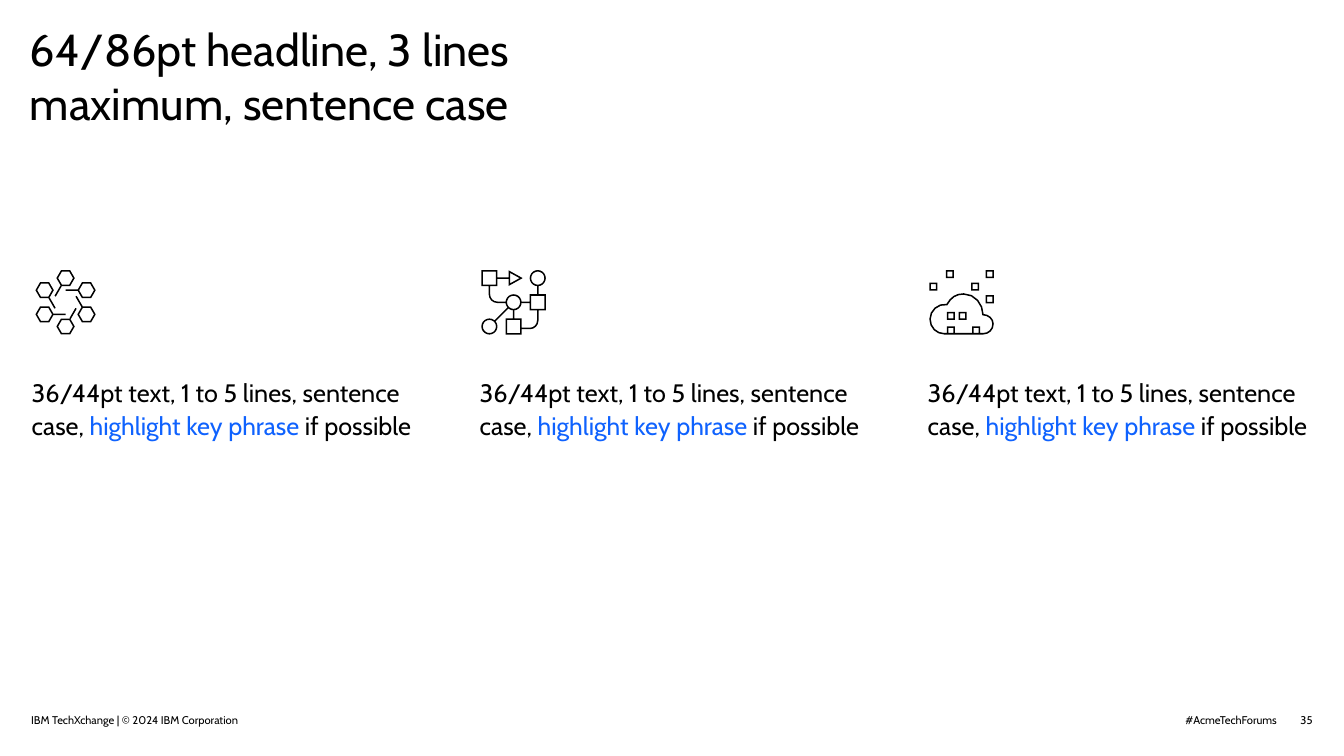
"""Build the three-column icon slide with headline, texts and footer."""
from math import cos, hypot, radians, sin

from pptx import Presentation
from pptx.dml.color import RGBColor
from pptx.enum.text import MSO_ANCHOR, MSO_AUTO_SIZE, PP_ALIGN
from pptx.util import Cm, Pt

LEFT, RIGHT = PP_ALIGN.LEFT, PP_ALIGN.RIGHT
TOP, MIDDLE, BOTTOM = MSO_ANCHOR.TOP, MSO_ANCHOR.MIDDLE, MSO_ANCHOR.BOTTOM
NO_FIT = MSO_AUTO_SIZE.NONE

COLORS = {"ink": "000000", "key": "0F62FE"}
FONT = "Cabin"

TITLE = "64/86pt headline, 3 lines maximum, sentence case"
BODY = [
    ("36/44pt text, 1 to 5 lines, sentence case, ", "ink"),
    ("highlight key phrase", "key"),
    (" if possible", "ink"),
]
FOOTERS = [
    ("IBM TechXchange | © 2024 IBM Corporation", (1.57, 35.56, 13.77, 1.07), LEFT, BOTTOM),
    ("#AcmeTechForums", (59.23, 35.94, 5.13, 0.69), RIGHT, TOP),
    ("35", (65.4, 35.94, 0.76, 0.69), RIGHT, MIDDLE),
]

COLUMN_LEFT, COLUMN_PITCH = 1.6, 22.58
ICON_TOP, ICON_INDENT, ICON_SIZE, ICON_GRID = 13.61, 0.08, 3.25, 128
HALF_STROKE = 1.5

RING_RADIUS, CELL_RADIUS, SPOKE_START, SPOKE_END = 48, 16.5, 18.3, 41.5

NODE_RADIUS = 14.5
BOXES = [(16, 16), (112, 64), (64, 112)]
CIRCLES = [(112, 16), (64, 64), (16, 112)]
ARROW = [(55.5, 3), (79, 16), (55.5, 29)]
LINKS = [
    [(32, 16), (54, 16)],
    [(112, 32), (112, 48)],
    [(80, 64), (96, 64)],
    [(64, 80), (64, 96)],
    [(52.7, 75.3), (27.3, 100.7)],
    [(16, 32), (16, 48), (16, 57, 23, 64, 32, 64), (48, 64)],
    [(112, 80), (112, 100), (112, 109, 105, 116, 96, 116), (80, 116)],
]

CLOUD = [
    (107, 126.5), (30, 126.5),
    (14, 126.5, 1.5, 114, 1.5, 97.5),
    (1.5, 80.5, 17, 66, 35, 68.5),
    (43, 54, 53, 47.5, 68, 47.5),
    (91, 47.5, 106.5, 68, 106.5, 88.5),
    (118, 89, 126.5, 97, 126.5, 107),
    (126.5, 118, 118, 126.5, 107, 126.5),
]
PIXEL_RADIUS = 6.5
PIXELS = [(43, 91), (66, 91), (120, 58), (91, 33), (8, 33), (120, 8), (41, 8)]
DOORS, DOOR_TOP, DOOR_FOOT = (43, 93), 113.5, 125


def write(shape, runs, size, align=LEFT, anchor=TOP, spacing=1.0, wrap=True, inset=0):
    tf = shape.text_frame
    frame = {"auto_size": NO_FIT, "word_wrap": wrap, "vertical_anchor": anchor,
             "margin_left": 0, "margin_top": 0, "margin_right": Cm(inset), "margin_bottom": 0}
    for name, value in frame.items():
        setattr(tf, name, value)
    p = tf.paragraphs[0]
    p.alignment, p.line_spacing = align, spacing
    for text, color in runs:
        r = p.add_run()
        r.text = text
        for name, value in {"name": FONT, "size": Pt(size), "bold": False}.items():
            setattr(r.font, name, value)
        r.font.color.rgb = RGBColor.from_string(COLORS[color])


def flatten(steps, count=4):
    points = [steps[0]]
    for step in steps[1:]:
        if len(step) == 2:
            points.append(step)
            continue
        curve = [points[-1], step[:2], step[2:4], step[4:]]
        for i in range(1, count + 1):
            t = i / count
            weights = ((1 - t) ** 3, 3 * t * (1 - t) ** 2, 3 * t * t * (1 - t), t ** 3)
            points.append(tuple(sum(w * c[axis] for w, c in zip(weights, curve))
                                for axis in (0, 1)))
    return points


def polygon(x, y, radius, sides, start=0):
    angles = [radians(start + 360 * i / sides) for i in range(sides)]
    return [(x + radius * cos(a), y + radius * sin(a)) for a in angles]


def square(x, y, half):
    return [(x - half, y - half), (x + half, y - half), (x + half, y + half), (x - half, y + half)]


def normal(a, b):
    length = hypot(b[0] - a[0], b[1] - a[1])
    return (a[1] - b[1]) / length, (b[0] - a[0]) / length


def offset(points, distance, closed):
    ends = points[1:] + points[:1] if closed else points[1:]
    normals = [normal(a, b) for a, b in zip(points, ends)]
    before = normals[-1:] + normals[:-1] if closed else normals[:1] + normals
    after = normals if closed else normals + normals[-1:]
    moved = []
    for (x, y), (ax, ay), (bx, by) in zip(points, before, after):
        k = distance / (1 + ax * bx + ay * by)
        moved.append((x + k * (ax + bx), y + k * (ay + by)))
    return moved


def ring(points):
    return [offset(points, d, True) for d in (HALF_STROKE, -HALF_STROKE)]


def bar(points):
    one, other = (offset(points, d, False) for d in (HALF_STROKE, -HALF_STROKE))
    return [one + other[::-1]]


def cells():
    contours = []
    for angle in range(-90, 270, 60):
        x, y = (ICON_GRID / 2 + RING_RADIUS * f(radians(angle)) for f in (cos, sin))
        turn = radians(angle - 150)
        spoke = [(x + d * cos(turn), y + d * sin(turn)) for d in (SPOKE_START, SPOKE_END)]
        contours += ring(polygon(x, y, CELL_RADIUS, 6)) + bar(spoke)
    return contours


def flow():
    outlines = [square(*at, NODE_RADIUS) for at in BOXES]
    outlines += [polygon(*at, NODE_RADIUS, 20) for at in CIRCLES] + [ARROW]
    contours = [c for outline in outlines for c in ring(outline)]
    return contours + [c for link in LINKS for c in bar(flatten(link))]


def cloud():
    outlines = [flatten(CLOUD)[:-1]] + [square(*at, PIXEL_RADIUS) for at in PIXELS]
    contours = [c for outline in outlines for c in ring(outline)]
    for x in DOORS:
        west, east = x - PIXEL_RADIUS, x + PIXEL_RADIUS
        contours += bar([(west, DOOR_FOOT), (west, DOOR_TOP), (east, DOOR_TOP), (east, DOOR_FOOT)])
    return contours


def add_icon(s, left, contours):
    unit = ICON_SIZE / ICON_GRID
    builder = None
    for contour in contours:
        points = [(Cm(left + x * unit), Cm(ICON_TOP + y * unit)) for x, y in contour]
        if builder is None:
            builder = s.shapes.build_freeform(*points[0])
        else:
            builder.move_to(*points[0])
        builder.add_line_segments(points[1:], close=True)
    sp = builder.convert_to_shape()
    sp.shadow.inherit = False
    sp.line.fill.background()
    sp.fill.solid()
    sp.fill.fore_color.rgb = RGBColor.from_string(COLORS["ink"])


def main():
    prs = Presentation()
    prs.slide_width, prs.slide_height = Cm(67.74), Cm(38.1)
    s = prs.slides.add_slide(prs.slide_layouts[5])
    title = s.shapes.title
    title.left, title.top, title.width, title.height = map(Cm, (1.5, 1.09, 30.71, 6.2))
    write(title, [(TITLE, "ink")], 64, inset=1.27)
    for i, icon in enumerate((cells, flow, cloud)):
        left = COLUMN_LEFT + i * COLUMN_PITCH
        add_icon(s, left + ICON_INDENT, icon())
        box = s.shapes.add_textbox(*map(Cm, (left, 18.85, 19.38, 14.27)))
        write(box, BODY, 36, spacing=1.1)
    for text, area, align, anchor in FOOTERS:
        box = s.shapes.add_textbox(*map(Cm, area))
        write(box, [(text, "ink")], 16, align, anchor, wrap=False)
    prs.save("out.pptx")


if __name__ == "__main__":
    main()
